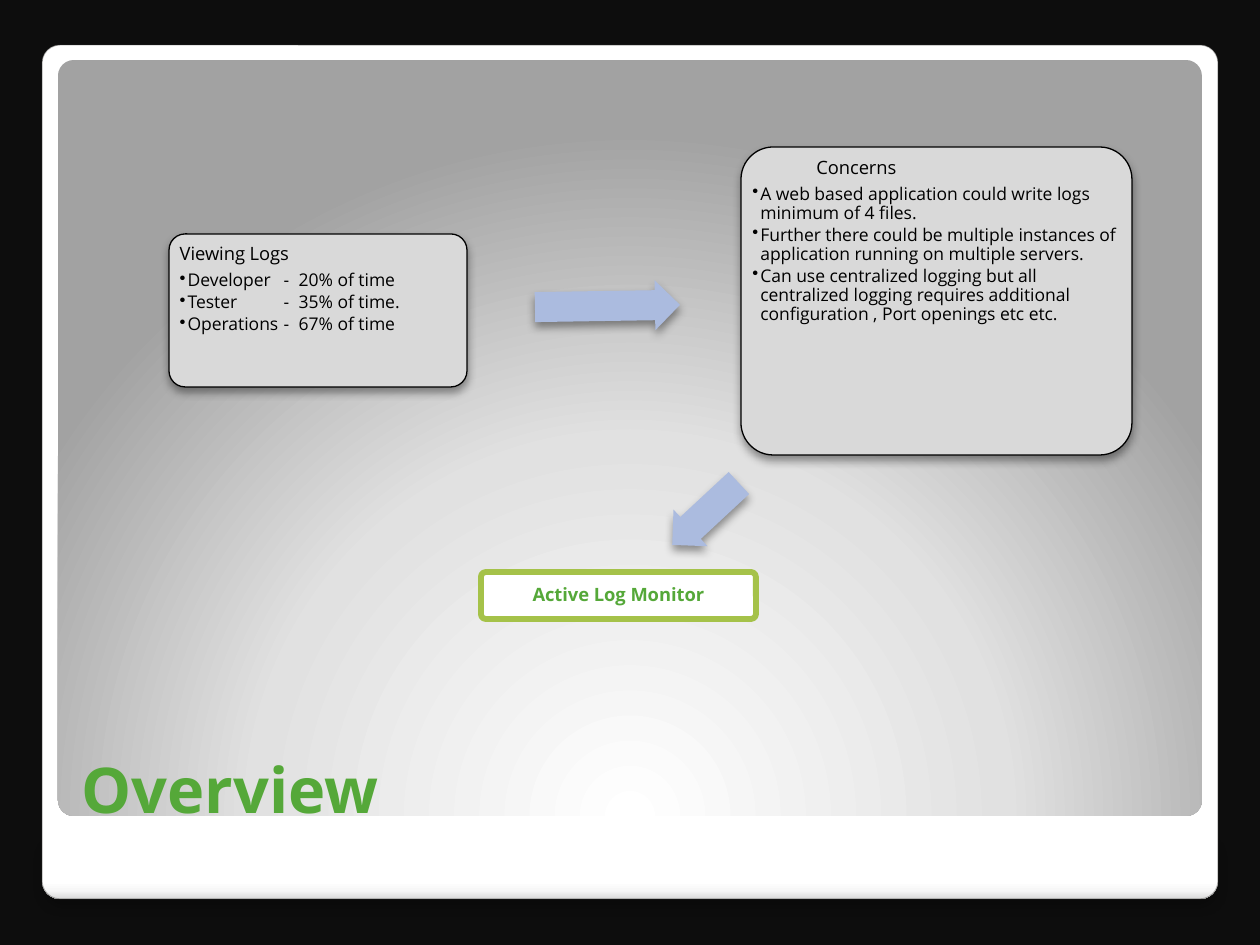
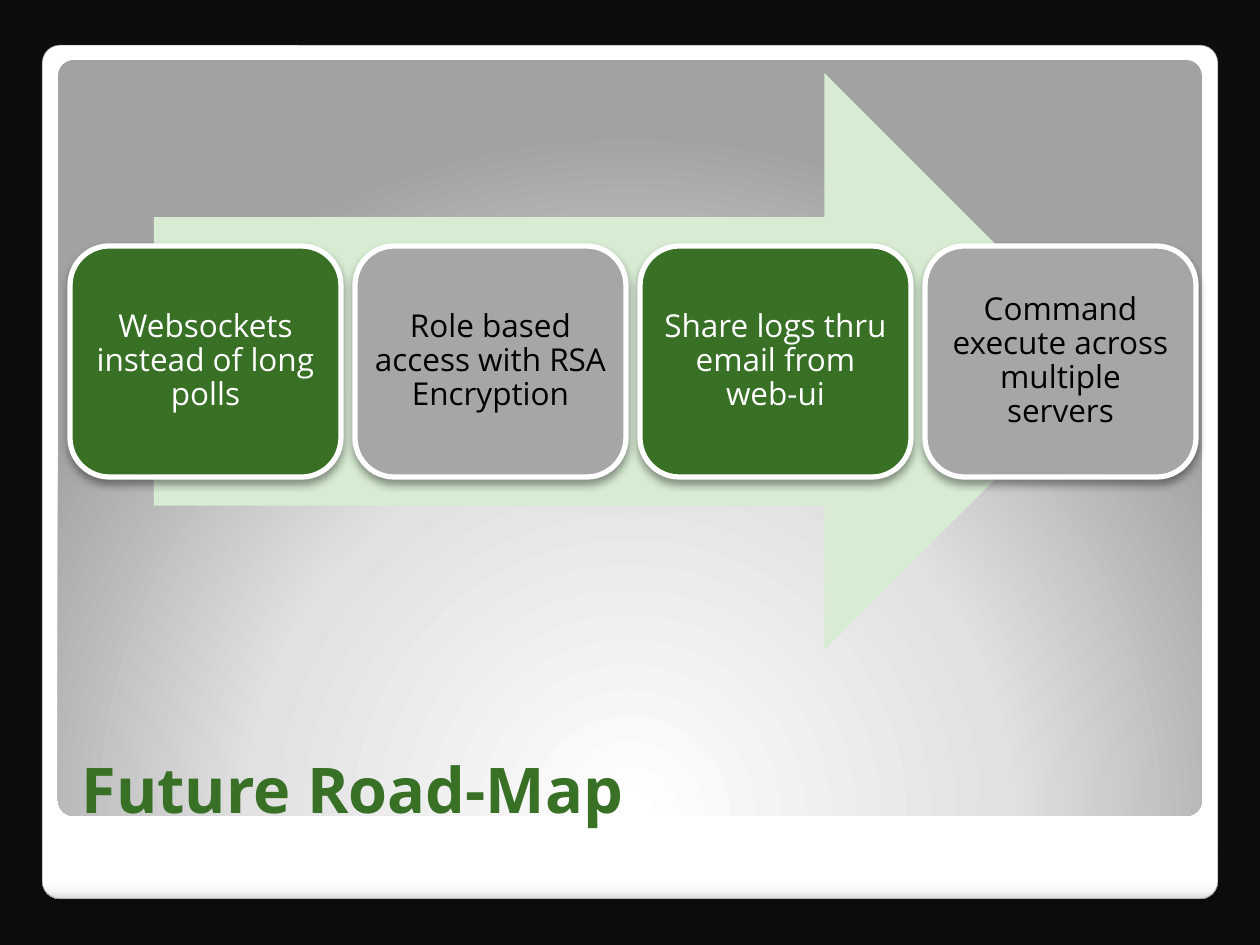
from lxml import etree
from pptx import Presentation
from pptx.dml.color import RGBColor as Rgb
from pptx.enum.shapes import MSO_SHAPE as Preset
from pptx.enum.text import MSO_ANCHOR as Anchor, PP_ALIGN as Align
from pptx.oxml import parse_xml
from pptx.oxml.ns import nsdecls, qn
from pptx.util import Pt

PX = 914400 / 126
COLOURS = {
    "night": "0D0D0D", "white": "FFFFFF", "black": "000000",
    "edge": "302F2C", "panel": "D9D9D9", "tile": "A6A6A6",
    "green": "55A839", "forest": "387026", "lime": "A5C249",
    "mint": "D7ECD3", "arrow": "ABBBDF",
}
CARD_GRADIENT = ([(0, "FFFFFF"), (98, "FFFFFF"), (99, "F7F7F7"), (100, "DADADA")],
                 '<a:lin ang="5400000" scaled="0"/>')
GLOW_GRADIENT = ([(0, "FFFFFF"), (55, "E1E1E1"), (100, "A2A2A2")],
                 '<a:path path="circle"><a:fillToRect l="100000" t="350000"'
                 ' r="100000" b="100000"/></a:path>')
CARD_SHADOW = (25, 6, 4)
SOFT_SHADOW = (40, 5.2, 3)
PANEL_CORNER = 0.105
TILE_CORNER = 0.17
CORNER_TEXT_INSET = 0.29


def px(length):
    return round(length * PX)


def rgb(name):
    return Rgb.from_string(COLOURS[name])


def set_all(target, formats):
    for name, value in formats.items():
        setattr(target, name, value)


class Deck:
    font = "Open Sans"

    def __init__(self):
        self.prs = Presentation()
        set_all(self.prs, {"slide_width": px(1260), "slide_height": px(945)})
        self.slide = None

    def add_slide(self, title, colour):
        self.slide = self.prs.slides.add_slide(self.prs.slide_layouts[5])
        background = self.slide.background.fill
        background.solid()
        background.fore_color.rgb = rgb("night")
        self.frame()
        self.title(title, colour)

    def frame(self):
        edge = ("edge", 0.67, 37)
        self.box((44, 835, 1172, 63), CARD_GRADIENT, edge, CARD_SHADOW, adjust=[0.33])
        self.box((42, 45, 1176, 854), CARD_GRADIENT, edge, adjust=[0.021])
        self.box((58, 60, 1144, 756), GLOW_GRADIENT, adjust=[0.021])

    def title(self, text, colour):
        heading = self.slide.shapes.title
        self.slide.shapes._spTree.append(heading._element)
        self.place(heading, (69, 687, 1128, 145))
        set_all(heading.text_frame, {"vertical_anchor": Anchor.BOTTOM, "word_wrap": True})
        self.add_text(heading.text_frame.paragraphs[0], text, 36, colour,
                      bold=True, alignment=Align.LEFT)

    def place(self, shape, area):
        set_all(shape, dict(zip(("left", "top", "width", "height"), map(px, area))))

    def box(self, area, fill, line=None, shadow=None, preset=Preset.ROUNDED_RECTANGLE,
            adjust=(), rotation=0):
        """Draw a preset shape; line is (colour, points, opacity %)."""
        shape = self.slide.shapes.add_shape(preset, *map(px, area))
        shape.rotation = rotation
        for index, value in enumerate(adjust):
            shape.adjustments[index] = value
        if isinstance(fill, str):
            shape.fill.solid()
            shape.fill.fore_color.rgb = rgb(fill)
        else:
            self.gradient(shape, *fill)
        if line:
            colour, width, opacity = line
            shape.line.color.rgb = rgb(colour)
            shape.line.width = Pt(width)
            tint = shape.line._ln.find(".//" + qn("a:srgbClr"))
            etree.SubElement(tint, qn("a:alpha"), val=str(opacity * 1000))
        else:
            shape.line.fill.background()
        shape.shadow.inherit = False
        if shadow:
            self.drop_shadow(shape, *shadow)
        return shape

    def gradient(self, shape, stops, direction):
        shape.fill.background()
        properties = shape._element.spPr
        stop_xml = "".join(f'<a:gs pos="{pos * 1000}"><a:srgbClr val="{colour}"/></a:gs>'
                           for pos, colour in stops)
        properties.replace(properties.find(qn("a:noFill")), parse_xml(
            f'<a:gradFill {nsdecls("a")} rotWithShape="1"><a:gsLst>{stop_xml}</a:gsLst>'
            f'{direction}</a:gradFill>'))

    def drop_shadow(self, shape, opacity, blur, distance):
        shape._element.spPr.find(qn("a:effectLst")).append(parse_xml(
            f'<a:outerShdw {nsdecls("a")} blurRad="{Pt(blur)}" dist="{Pt(distance)}"'
            f' dir="5400000" rotWithShape="0"><a:srgbClr val="{COLOURS["black"]}">'
            f'<a:alpha val="{opacity * 1000}"/></a:srgbClr></a:outerShdw>'))

    def text_area(self, shape, area, pad, corner, anchor):
        """Set margins so that text starts pad px from the outer edge."""
        inset = px(max(0, pad - round(CORNER_TEXT_INSET * corner * min(area[2:]))))
        frame = shape.text_frame
        set_all(frame, {"word_wrap": True, "vertical_anchor": anchor,
                        "margin_left": inset, "margin_right": inset,
                        "margin_top": inset, "margin_bottom": inset})
        return frame

    def add_text(self, paragraph, text, size, colour, bold=False, **formats):
        set_all(paragraph, formats)
        run = paragraph.add_run()
        run.text = text
        set_all(run.font, {"name": self.font, "size": Pt(size), "bold": bold})
        run.font.color.rgb = rgb(colour)

    def label(self, area, text, size, colour, fill, line, corner, pad,
              shadow=None, bold=False):
        shape = self.box(area, fill, line, shadow, adjust=[corner])
        frame = self.text_area(shape, area, pad, corner, Anchor.MIDDLE)
        self.add_text(frame.paragraphs[0], text, size, colour, bold,
                      alignment=Align.CENTER, line_spacing=0.9)

    def panel(self, area, heading, points, heading_indent=0, tabs=()):
        shape = self.box(area, "panel", ("black", 0.75, 100), SOFT_SHADOW,
                         adjust=[PANEL_CORNER])
        frame = self.text_area(shape, area, 11, PANEL_CORNER, Anchor.TOP)
        common = {"alignment": Align.LEFT, "line_spacing": 0.9}
        first = frame.paragraphs[0]
        self.add_text(first, heading, 10.5, "black", space_after=Pt(4), **common)
        first._p.get_or_add_pPr().set("marL", str(px(heading_indent)))
        for point in points:
            paragraph = frame.add_paragraph()
            self.add_text(paragraph, point, 10, "black", space_after=Pt(1.8), **common)
            self.bullet(paragraph, tabs)

    def bullet(self, paragraph, tabs):
        properties = paragraph._p.get_or_add_pPr()
        properties.set("marL", str(px(8)))
        properties.set("indent", str(px(-8)))
        etree.SubElement(properties, qn("a:buChar"), char="•")
        if tabs:
            stops = etree.SubElement(properties, qn("a:tabLst"))
            for tab in tabs:
                etree.SubElement(stops, qn("a:tab"), pos=str(px(tab)), algn="l")

    def arrow(self, area, fill, adjust=(0.5, 0.5), rotation=0, shadow=None):
        self.box(area, fill, None, shadow, Preset.RIGHT_ARROW, adjust, rotation)


def add_overview(deck):
    deck.add_slide("Overview", "green")
    deck.panel((169, 234, 298, 153), "Viewing Logs", [
        "Developer\t-\t20% of time",
        "Tester\t-\t35% of time.",
        "Operations\t-\t67% of time",
    ], tabs=(104, 119))
    deck.panel((741, 147, 391, 308), "Concerns", [
        "A web based application could write logs minimum of 4 files.",
        "Further there could be multiple instances of application running on "
        "multiple servers.",
        "Can use centralized logging but all centralized logging requires "
        "additional configuration , Port openings etc etc.",
    ], heading_indent=64)
    for area, rotation in (((535, 281, 145, 50), 359.1), ((660, 489, 91, 50), 137.1)):
        deck.arrow(area, "arrow", (0.6, 0.5), rotation, SOFT_SHADOW)
    deck.label((481, 572, 275, 47), "Active Log Monitor", 10.5, "green", "white",
               ("lime", 3.35, 100), PANEL_CORNER, 11, bold=True)


def add_road_map(deck):
    deck.add_slide("Future Road-Map", "forest")
    deck.arrow((154, 73, 959, 577), "mint")
    plans = ("Websockets instead of long polls", "Role based access with RSA Encryption",
             "Share logs thru email from web-ui", "Command execute across multiple servers")
    looks = (("white", "forest"), ("black", "tile"))
    for index, plan in enumerate(plans):
        colour, fill = looks[index % 2]
        deck.label((70 + 285 * index, 246, 271, 231), plan, 18, colour, fill,
                   ("white", 3, 100), TILE_CORNER, 18, SOFT_SHADOW)


def main():
    deck = Deck()
    add_overview(deck)
    add_road_map(deck)
    deck.prs.save("out.pptx")


if __name__ == "__main__":
    main()
